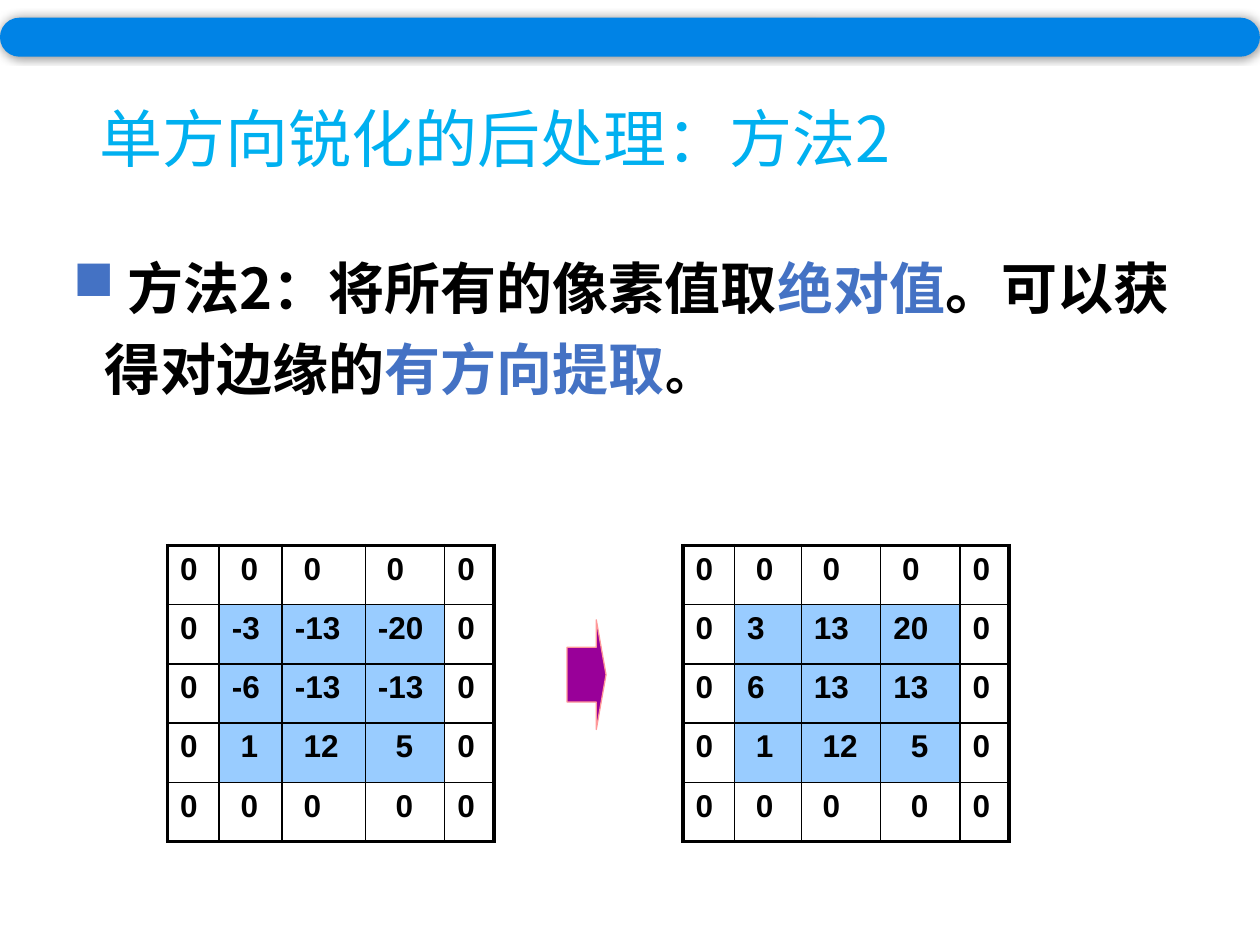
import pptx
import pptx.util
from lxml import etree
from pptx.dml.color import RGBColor
from pptx.enum.shapes import MSO_SHAPE
from pptx.enum.text import MSO_ANCHOR
from pptx.oxml.ns import qn
from pptx.util import Inches

BLACK = RGBColor(0x00, 0x00, 0x00)
WHITE = RGBColor(0xFF, 0xFF, 0xFF)
TITLE_BLUE = RGBColor(0x00, 0xB0, 0xF0)
ACCENT_BLUE = RGBColor(0x44, 0x72, 0xC4)
BAR_BLUE = RGBColor(0x00, 0x83, 0xE6)
CELL_BLUE = RGBColor(0x99, 0xCC, 0xFF)
PURPLE = RGBColor(0x99, 0x00, 0x99)
PINK = RGBColor(0xFF, 0x99, 0x99)

CJK_FONT = "Noto Sans CJK SC"
SPACE_WIDTH = 0.07  # inches, one step of number alignment


def add_text(paragraph, text, size=32, color=BLACK, bold=False, font=CJK_FONT):
    run = paragraph.add_run()
    run.text = text
    run.font.size = pptx.util.Pt(size)
    run.font.bold = bold
    run.font.color.rgb = color
    run.font.name = font
    etree.SubElement(run.font._element, qn("a:ea"), typeface=font)


def add_color(parent, color):
    fill = etree.SubElement(parent, qn("a:solidFill"))
    return etree.SubElement(fill, qn("a:srgbClr"), val=str(color))


class SlideBuilder:
    def __init__(self, slide):
        self.slide = slide
        self.number_style = dict(size=18, bold=True, font="Arial")

    def text_box(self, left, top, width, height, line_spacing, anchor=MSO_ANCHOR.TOP):
        box = self.slide.shapes.add_textbox(
            Inches(left), Inches(top), Inches(width), Inches(height))
        box.text_frame.word_wrap = True
        box.text_frame.vertical_anchor = anchor
        paragraph = box.text_frame.paragraphs[0]
        paragraph.line_spacing = line_spacing
        return paragraph

    def bullet(self, paragraph, indent, color):
        properties = paragraph._p.get_or_add_pPr()
        properties.set("marL", str(Inches(indent)))
        properties.set("indent", str(-Inches(indent)))
        bullet_color = etree.SubElement(properties, qn("a:buClr"))
        etree.SubElement(bullet_color, qn("a:srgbClr"), val=str(color))
        etree.SubElement(properties, qn("a:buChar"), char="■")

    def shape(self, kind, left, top, width, height, fill, adjustments, line=None):
        shape = self.slide.shapes.add_shape(
            kind, Inches(left), Inches(top), Inches(width), Inches(height))
        shape.shadow.inherit = False
        for index, value in enumerate(adjustments):
            shape.adjustments[index] = value
        shape.fill.solid()
        shape.fill.fore_color.rgb = fill
        if line is None:
            shape.line.fill.background()
        else:
            shape.line.color.rgb = line
            shape.line.width = pptx.util.Pt(0.75)
        return shape

    def glow_shadow(self, shape, blur, opacity):
        effects = shape._element.spPr.find(qn("a:effectLst"))
        shadow = etree.SubElement(effects, qn("a:outerShdw"), dist="0", dir="0",
                                  blurRad=str(pptx.util.Pt(blur)), rotWithShape="0")
        color = etree.SubElement(shadow, qn("a:srgbClr"), val=str(BLACK))
        etree.SubElement(color, qn("a:alpha"), val=str(opacity * 1000))

    def borders(self, cell, outer_sides):
        properties = cell._tc.get_or_add_tcPr()
        for side, is_outer in outer_sides.items():
            width = pptx.util.Pt(2.25 if is_outer else 1)
            add_color(etree.SubElement(properties, qn("a:" + side), w=str(width)), BLACK)

    def pixel_grid(self, left, top, column_widths, row_height, pixels, indents):
        last = len(pixels) - 1
        table = self.slide.shapes.add_table(
            len(pixels), len(column_widths), Inches(left), Inches(top),
            Inches(sum(column_widths)), Inches(row_height * len(pixels))).table
        table.first_row = table.horz_banding = False
        for column, width in zip(table.columns, column_widths):
            column.width = Inches(width)
        for r, row in enumerate(pixels):
            table.rows[r].height = Inches(row_height)
            for c, pixel in enumerate(row):
                cell = table.cell(r, c)
                self.borders(cell, {"lnL": c == 0, "lnR": c == last,
                                    "lnT": r == 0, "lnB": r == last})
                inside = 0 < r < last and 0 < c < last
                cell.fill.solid()
                cell.fill.fore_color.rgb = CELL_BLUE if inside else WHITE
                cell.margin_left = Inches(0.1 + SPACE_WIDTH * indents[r][c])
                add_text(cell.text_frame.paragraphs[0], str(pixel), **self.number_style)


def main():
    presentation = pptx.Presentation()
    presentation.slide_width = Inches(10)
    presentation.slide_height = Inches(7.5)
    builder = SlideBuilder(presentation.slides.add_slide(presentation.slide_layouts[6]))

    # Title
    title = builder.text_box(0.69, 0.4, 8.62, 1.45, 0.9, MSO_ANCHOR.MIDDLE)
    add_text(title, "单方向锐化的后处理：方法2", size=36, color=TITLE_BLUE)

    # Explanation of the method
    method = builder.text_box(0.48, 1.86, 9.07, 2, 1.2)
    builder.bullet(method, 0.25, ACCENT_BLUE)
    for phrase, color, size in [
        (" 方法2：将所有的像素值取", BLACK, 32),
        ("绝对值", ACCENT_BLUE, 32),
        ("。可以获得对边缘的", BLACK, 32),
        ("有方向提取", ACCENT_BLUE, 32),
        ("。", BLACK, 28),
    ]:
        add_text(method, phrase, size=size, color=color, bold=True)

    # Arrow from the sharpened pixels to their absolute values
    builder.shape(MSO_SHAPE.RIGHT_ARROW, 4.5, 4.92, 0.31, 0.87, PURPLE, [0.5, 0.25], PINK)

    # Pixel grids
    sharpened = [
        [0, 0, 0, 0, 0],
        [0, -3, -13, -20, 0],
        [0, -6, -13, -13, 0],
        [0, 1, 12, 5, 0],
        [0, 0, 0, 0, 0],
    ]
    absolute = [[abs(pixel) for pixel in row] for row in sharpened]
    indents = [
        [0, 1, 1, 1, 0],
        [0, 0, 0, 0, 0],
        [0, 0, 0, 0, 0],
        [0, 1, 1, 2, 0],
        [0, 1, 1, 2, 0],
    ]
    for left, column_widths, pixels in [
        (5.42, [0.41, 0.53, 0.63, 0.63, 0.39], absolute),
        (1.33, [0.41, 0.5, 0.66, 0.63, 0.39], sharpened),
    ]:
        builder.pixel_grid(left, 4.33, column_widths, 0.47, pixels, indents)

    # Top bar
    top_bar = builder.shape(MSO_SHAPE.ROUNDED_RECTANGLE, 0, 0.14, 10, 0.31, BAR_BLUE, [0.5])
    builder.glow_shadow(top_bar, blur=5, opacity=40)

    presentation.save("out.pptx")


if __name__ == "__main__":
    main()
